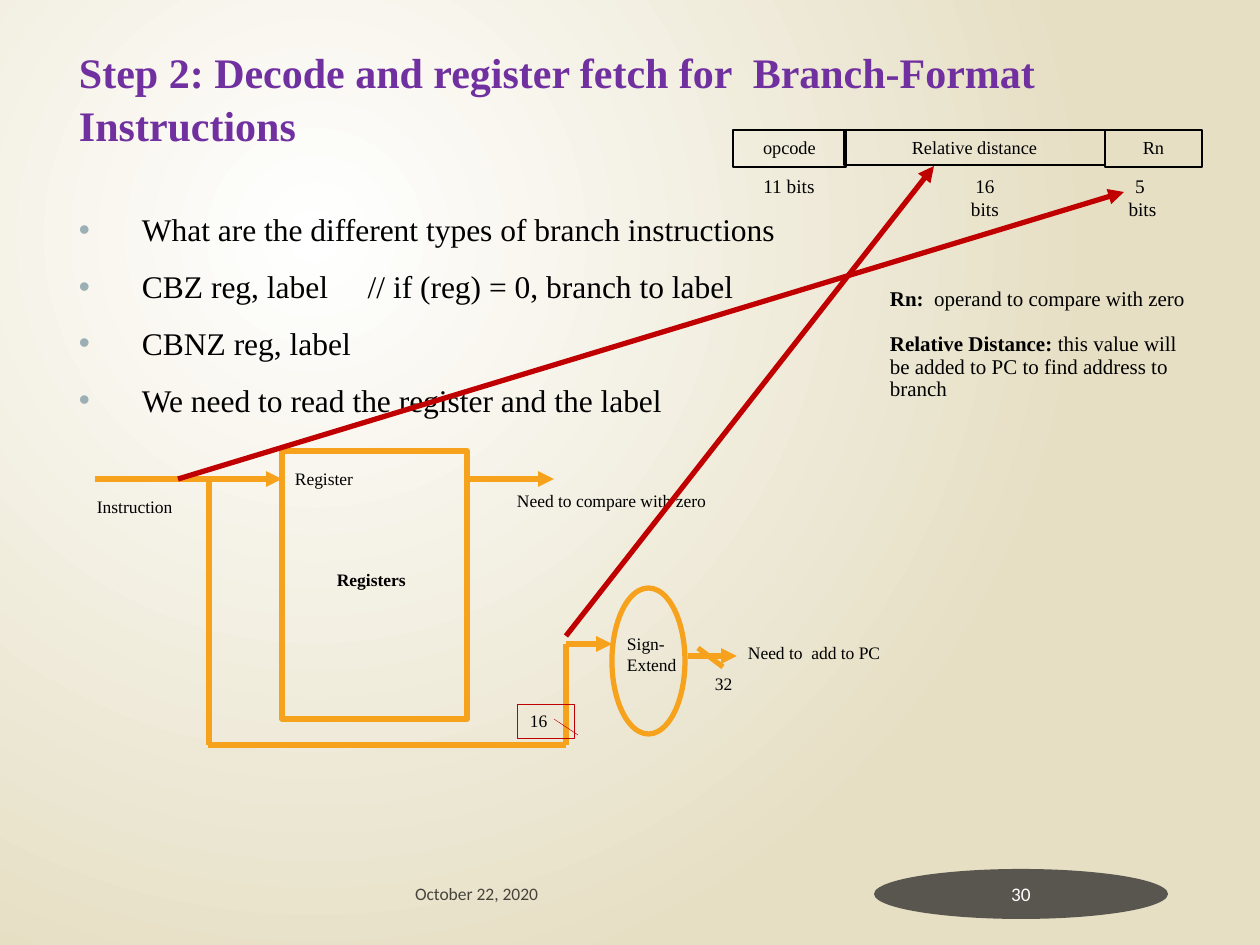
from dataclasses import dataclass
from typing import Any, Optional

from lxml.etree import SubElement
from pptx import Presentation
from pptx.dml.color import RGBColor
from pptx.enum.shapes import MSO_CONNECTOR, MSO_SHAPE
from pptx.enum.text import MSO_ANCHOR, PP_ALIGN
from pptx.oxml.ns import qn
from pptx.util import Pt

SCALE = 914400 / 126
SERIF, SANS = "Times New Roman", "Calibri"
BLACK, WHITE, ORANGE, RED = "000000", "FFFFFF", "F6A21D", "C00000"
PURPLE, GREY, SAND, DARK = "7030A0", "9BAFB5", "E6DFC4", "1D1D1D"
RECT, OVAL = MSO_SHAPE.RECTANGLE, MSO_SHAPE.OVAL


@dataclass
class Run:
    text: str
    bold: bool = False
    track: int = 0


@dataclass
class Box:
    x: int
    y: int
    w: int
    h: int
    paras: tuple[tuple[Run, ...], ...] = ()
    size: float = 10
    color: str = BLACK
    alpha: int = 100
    font: str = SERIF
    kind: Optional[MSO_SHAPE] = None
    fill: str = ""
    line: str = ""
    width: float = 3
    center: bool = False
    middle: bool = False
    wrap: bool = True
    pad: int = 13
    lead: float = 1.0
    before: float = 0
    bullet: bool = False


@dataclass
class Wire:
    x1: int
    y1: int
    x2: int
    y2: int
    arrow: bool = False
    color: str = ORANGE
    width: float = 3


def px(value: float) -> int:
    return round(value * SCALE)


def rgb(code: str) -> RGBColor:
    return RGBColor.from_string(code)


def paint(fill: Any, code: str, root: Any, alpha: int = 100) -> None:
    fill.solid()
    fill.fore_color.rgb = rgb(code)
    if alpha < 100:
        tone = root.find(qn("a:solidFill")).find(qn("a:srgbClr"))
        SubElement(tone, qn("a:alpha")).set("val", str(alpha * 1000))


def set_bullet(para: Any) -> None:
    props = para._p.get_or_add_pPr()
    props.set("marL", str(px(63)))
    props.set("indent", str(-px(63)))
    tone = SubElement(props, qn("a:buClr"))
    SubElement(tone, qn("a:srgbClr")).set("val", GREY)
    SubElement(props, qn("a:buFont")).set("typeface", "Arial")
    SubElement(props, qn("a:buChar")).set("char", "•")


def write(frame: Any, box: Box) -> None:
    style = {
        "word_wrap": box.wrap,
        "vertical_anchor": MSO_ANCHOR.MIDDLE if box.middle else MSO_ANCHOR.TOP,
        "margin_left": px(box.pad),
        "margin_right": px(box.pad),
        "margin_top": px(6),
        "margin_bottom": px(6),
    }
    for key, value in style.items():
        setattr(frame, key, value)
    for n, runs in enumerate(box.paras):
        para = frame.add_paragraph() if n else frame.paragraphs[0]
        para.alignment = PP_ALIGN.CENTER if box.center else PP_ALIGN.LEFT
        para.line_spacing = box.lead
        para.space_before = Pt(box.before if n else 0)
        if box.bullet:
            set_bullet(para)
        for part in runs:
            run = para.add_run()
            run.text = part.text
            look = {"name": box.font, "size": Pt(box.size), "bold": part.bold}
            for key, value in look.items():
                setattr(run.font, key, value)
            props = run._r.get_or_add_rPr()
            paint(run.font.fill, box.color, props, box.alpha)
            if part.track:
                props.set("spc", str(part.track * 100))


def draw_box(slide: Any, box: Box) -> None:
    place = [px(v) for v in (box.x, box.y, box.w, box.h)]
    if box.kind is None:
        shape = slide.shapes.add_textbox(*place)
    else:
        shape = slide.shapes.add_shape(box.kind, *place)
        shape.shadow.inherit = False
        if box.fill:
            paint(shape.fill, box.fill, shape._element.spPr, 70)
        else:
            shape.fill.background()
        if box.line:
            shape.line.color.rgb = rgb(box.line)
            shape.line.width = Pt(box.width)
        else:
            shape.line.fill.background()
    if box.paras:
        write(shape.text_frame, box)


def draw_wire(slide: Any, wire: Wire) -> None:
    ends = [px(v) for v in (wire.x1, wire.y1, wire.x2, wire.y2)]
    link = slide.shapes.add_connector(MSO_CONNECTOR.STRAIGHT, *ends)
    link.line.color.rgb = rgb(wire.color)
    link.line.width = Pt(wire.width)
    if wire.arrow:
        SubElement(link.line._get_or_add_ln(), qn("a:tailEnd")).set("type", "triangle")
    SubElement(link._element.spPr, qn("a:effectLst"))


def set_back(slide: Any) -> None:
    fill = slide.background.fill
    fill.gradient()
    for stop, code, spot in zip(fill.gradient_stops, (WHITE, SAND), (0, 1)):
        stop.color.rgb = rgb(code)
        stop.position = spot
    grad = slide.element.find(".//" + qn("a:gradFill"))
    grad.remove(grad.find(qn("a:lin")))
    round_fill = SubElement(grad, qn("a:path"))
    round_fill.set("path", "circle")
    focus = SubElement(round_fill, qn("a:fillToRect"))
    for side, part in {"l": 50, "t": 50, "r": 100, "b": 100}.items():
        focus.set(side, str(part * 1000))


def plain(text: str, bold: bool = False) -> tuple[tuple[Run, ...], ...]:
    return ((Run(text, bold),),)


def label(x: int, y: int, w: int, text: str, h: int = 34, bold: bool = False) -> Box:
    return Box(x, y, w, h, plain(text, bold))


def field(x: int, w: int, h: int, text: str) -> Box:
    return Box(x, 130, w, h, plain(text), 10.5, kind=RECT, line=BLACK, width=1.5, center=True)


def bits(x: int, w: int, text: str) -> Box:
    return Box(x, 168, w, 37, plain(text), 11, center=True, wrap=False)


POINTS = (
    (Run("What are the different types of branch instructions"),),
    (Run("CBZ reg, label"), Run(" ", track=18), Run("// if (reg) = 0, branch to label")),
    (Run("CBNZ reg, label"),),
    (Run("We need to read the register and the label"),),
)
NOTES = (
    (Run("Rn:", True), Run("  operand to compare with zero")),
    (Run("Relative Distance: ", True),
     Run("this value will be added to PC to find address to branch")),
)
TITLE = "Step 2: Decode and register fetch for  Branch-Format Instructions"

ITEMS = (
    Box(402, 869, 399, 50, plain("October 22, 2020"), alpha=70, font=SANS, middle=True),
    Box(874, 869, 294, 50, plain("30"), 11, WHITE, font=SANS, kind=OVAL, fill=DARK,
        center=True, middle=True, pad=3),
    Box(66, 203, 1138, 578, POINTS, 18, lead=1.04, before=10, bullet=True),
    Box(66, 39, 1138, 105, plain(TITLE, True), 24, PURPLE, lead=1.04),
    Box(282, 451, 185, 268, kind=RECT, line=ORANGE),
    Wire(209, 479, 282, 479, True),
    label(282, 462, 112, "Register"),
    label(324, 563, 112, "Registers", bold=True),
    Wire(209, 479, 209, 745),
    Wire(208, 745, 566, 745),
    Wire(95, 479, 209, 479),
    label(84, 490, 112, "Instruction"),
    Wire(467, 479, 554, 479, True),
    Wire(566, 745, 566, 644),
    Box(612, 588, 73, 146, kind=OVAL, line=ORANGE),
    label(614, 627, 82, "Sign-Extend", 55),
    Wire(566, 644, 612, 644, True),
    Wire(688, 656, 737, 656, True),
    Wire(554, 719, 578, 735, color=RED, width=0.25),
    Box(517, 704, 57, 34, plain("16"), kind=RECT, line=RED, width=0.25),
    label(702, 667, 57, "32"),
    Wire(698, 648, 723, 667),
    label(504, 484, 233, "Need to compare with zero"),
    label(735, 636, 189, "Need to  add to PC"),
    field(733, 113, 37, "opcode"),
    field(844, 261, 35, "Relative distance"),
    field(1105, 97, 37, "Rn"),
    bits(750, 78, "11 bits"),
    bits(1106, 73, "5  bits"),
    bits(946, 78, "16 bits"),
    Box(877, 282, 325, 127, NOTES, 12, lead=0.9, before=13),
    Wire(566, 636, 934, 166, True, RED),
    Wire(178, 479, 1124, 192, True, RED),
)


def main() -> None:
    deck = Presentation()
    deck.slide_width, deck.slide_height = px(1260), px(945)
    slide = deck.slides.add_slide(deck.slide_layouts[6])
    set_back(slide)
    for item in ITEMS:
        if isinstance(item, Box):
            draw_box(slide, item)
        else:
            draw_wire(slide, item)
    deck.save("out.pptx")


if __name__ == "__main__":
    main()
